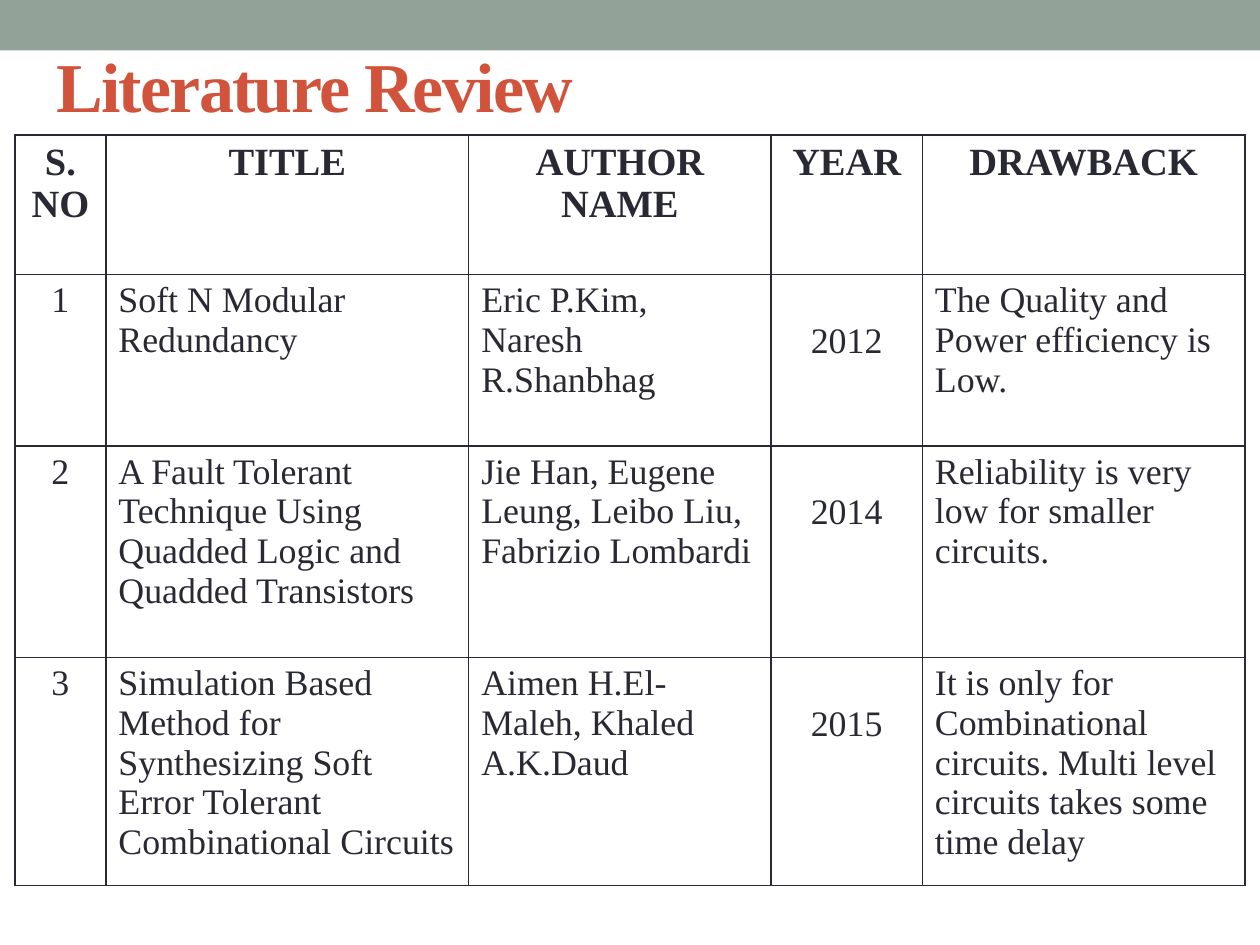
from lxml import etree
from pptx import Presentation
from pptx.dml.color import RGBColor
from pptx.enum import shapes, text
from pptx.oxml import ns
from pptx.util import Inches, Pt

FONT = "Times New Roman"
SAGE = RGBColor(0x93, 0xA2, 0x99)
RUST = RGBColor(0xD2, 0x53, 0x3C)
INK = RGBColor(0x29, 0x29, 0x34)

COLUMN_WIDTHS = [0.72, 2.88, 2.4, 1.2, 2.56]
ROW_HEIGHTS = [1.11, 1.36, 1.68, 1.67]
CENTRED_COLUMNS = (0, 3)
YEAR_COLUMN = 3
REVIEW = [
    ("S. NO", "TITLE", "AUTHOR NAME", "YEAR", "DRAWBACK"),
    ("1", "Soft N Modular Redundancy", "Eric P.Kim, Naresh R.Shanbhag", "2012",
     "The Quality and Power efficiency is Low."),
    ("2", "A Fault Tolerant Technique Using Quadded Logic and Quadded Transistors",
     "Jie Han, Eugene Leung, Leibo Liu, Fabrizio Lombardi", "2014",
     "Reliability is very low for smaller circuits."),
    ("3", "Simulation Based Method for Synthesizing Soft Error Tolerant "
     "Combinational Circuits", "Aimen H.El-Maleh, Khaled A.K.Daud", "2015",
     "It is only for Combinational circuits. Multi level circuits takes some "
     "time delay"),
]


def style_font(font, size, color, bold):
    """Set typeface, size, colour and weight."""
    font.name = FONT
    font.size = Pt(size)
    font.color.rgb = color
    font.bold = bold


def add_band(slide):
    """Draw the plain band along the top edge."""
    band = slide.shapes.add_shape(shapes.MSO_SHAPE.RECTANGLE, 0, 0,
                                  Inches(10), Inches(0.4))
    band.shadow.inherit = False
    band.fill.solid()
    band.fill.fore_color.rgb = SAGE
    band.line.fill.background()


def add_heading(slide, wording):
    """Write the slide heading with slightly tightened letters."""
    heading = slide.shapes.add_textbox(Inches(0.35), Inches(0.13),
                                       Inches(9), Inches(1.08))
    frame = heading.text_frame
    frame.word_wrap = True
    frame.vertical_anchor = text.MSO_ANCHOR.MIDDLE
    line = frame.paragraphs[0]
    run = line.add_run()
    run.text = wording
    style_font(run.font, 40, RUST, True)
    run.font._element.set("spc", "-100")


def add_borders(cell):
    """Rule all four sides of a cell; call before setting its fill."""
    properties = cell._tc.get_or_add_tcPr()
    for side in ("a:lnL", "a:lnR", "a:lnT", "a:lnB"):
        rule = etree.SubElement(properties, ns.qn(side), w=str(Pt(1)))
        solid = etree.SubElement(rule, ns.qn("a:solidFill"))
        etree.SubElement(solid, ns.qn("a:srgbClr"), val=str(INK))


def fill_cell(cell, wording, header, column):
    """Write and style one cell of the review table."""
    add_borders(cell)
    cell.fill.background()
    cell.text = wording
    paragraph = cell.text_frame.paragraphs[0]
    style_font(paragraph.font, 22 if header else 20.5, INK, header)
    if header or column in CENTRED_COLUMNS:
        paragraph.alignment = text.PP_ALIGN.CENTER
    if column == YEAR_COLUMN and not header:
        cell.margin_top = Inches(0.37)


def add_review_table(slide):
    """Build the table of reviewed papers."""
    review = slide.shapes.add_table(
        len(REVIEW), len(COLUMN_WIDTHS), Inches(0.12), Inches(1.07),
        Inches(sum(COLUMN_WIDTHS)), Inches(sum(ROW_HEIGHTS))).table
    review.horz_banding = False
    for column, width in zip(review.columns, COLUMN_WIDTHS):
        column.width = Inches(width)
    for row, height in zip(review.rows, ROW_HEIGHTS):
        row.height = Inches(height)
    for r, entry in enumerate(REVIEW):
        for c, wording in enumerate(entry):
            fill_cell(review.cell(r, c), wording, r == 0, c)


def main():
    """Create the literature review slide."""
    deck = Presentation()
    deck.slide_width, deck.slide_height = Inches(10), Inches(7.5)
    slide = deck.slides.add_slide(deck.slide_layouts[6])
    add_band(slide)
    add_heading(slide, "Literature Review")
    add_review_table(slide)
    deck.save("out.pptx")


main()
